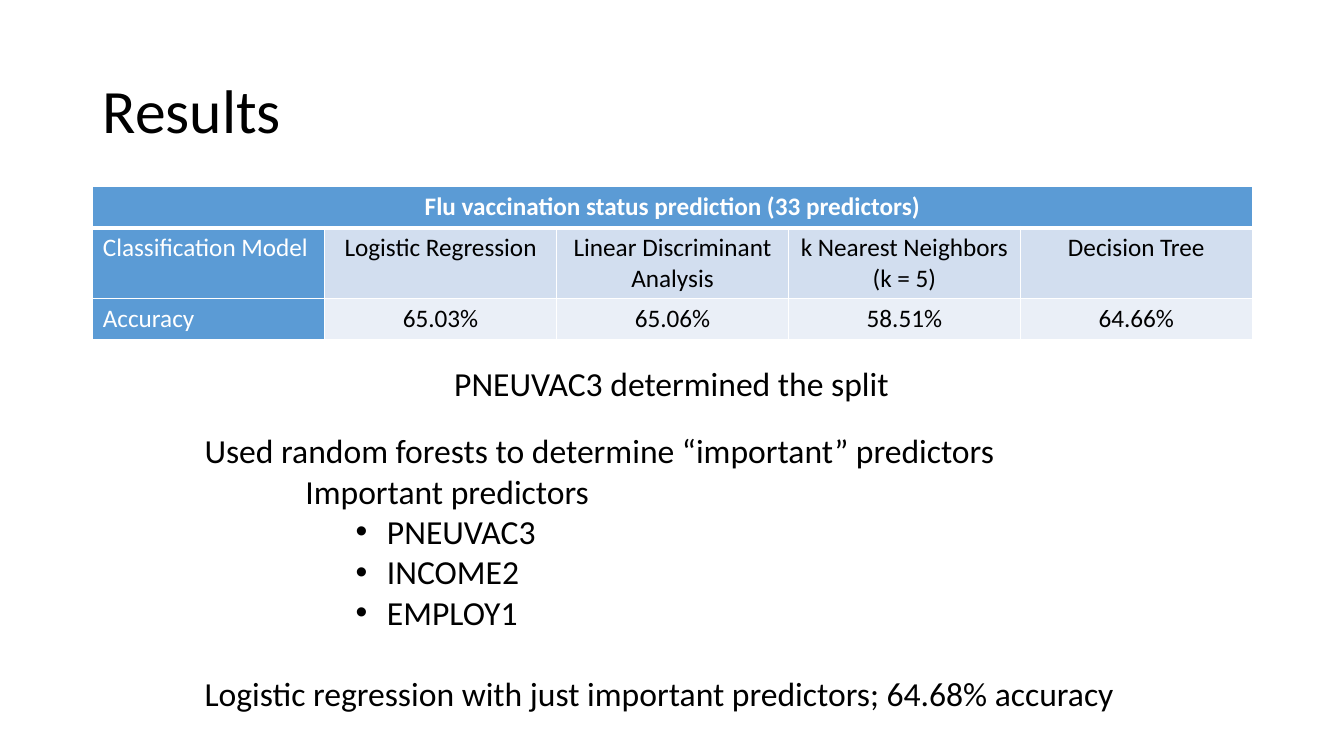
from lxml.etree import SubElement
from pptx import Presentation
from pptx.dml.color import RGBColor
from pptx.enum.text import MSO_ANCHOR, PP_ALIGN
from pptx.oxml.ns import qn
from pptx.util import Inches, Pt

COLORS = {
    "text": "000000",
    "white": "FFFFFF",
    "header": "5B9BD5",
    "odd_band": "D2DEEF",
    "even_band": "EAEFF7",
}
FONT = "Calibri"
TABLE_TITLE = "Flu vaccination status prediction (33 predictors)"
MODEL_ROWS = [
    ["Classification Model", "Logistic Regression", "Linear Discriminant Analysis",
     "k Nearest Neighbors (k = 5)", "Decision Tree"],
    ["Accuracy", "65.03%", "65.06%", "58.51%", "64.66%"],
]
ROW_HEIGHTS = [0.41, 0.69, 0.41]
PREDICTORS = ["PNEUVAC3", "INCOME2", "EMPLOY1"]


def write(para, text, size=24, color="text", bold=False, align=PP_ALIGN.LEFT,
          indent=0, bullet=None, before=0, spacing=1.0):
    """Fill a paragraph with one formatted run."""
    para.alignment = align
    para.space_before = Pt(before)
    para.line_spacing = spacing
    span = para.add_run()
    span.text = text
    span.font.name = FONT
    span.font.size = Pt(size)
    span.font.bold = bold
    span.font.color.rgb = RGBColor.from_string(COLORS[color])
    properties = para._p.get_or_add_pPr()
    properties.set("marL", str(Inches(indent)))
    if bullet:
        properties.set("indent", str(Inches(-0.31)))
        SubElement(properties, qn("a:buFont"), typeface="Arial")
        SubElement(properties, qn("a:buChar"), char=bullet)


def add_text_frame(page, box, anchor=MSO_ANCHOR.TOP):
    """Add a wrapping text box and return its text frame."""
    frame = page.shapes.add_textbox(*map(Inches, box)).text_frame
    frame.word_wrap = True
    frame.vertical_anchor = anchor
    return frame


def style_cell(cell, fill, top=1, bottom=1):
    """Give a cell white borders and a solid fill."""
    properties = cell._tc.get_or_add_tcPr()
    for side, width in (("L", 1), ("R", 1), ("T", top), ("B", bottom)):
        line = SubElement(properties, qn(f"a:ln{side}"), w=str(Pt(width)))
        solid = SubElement(line, qn("a:solidFill"))
        SubElement(solid, qn("a:srgbClr"), val=COLORS["white"])
    cell.fill.solid()
    cell.fill.fore_color.rgb = RGBColor.from_string(COLORS[fill])


def add_title(page, box):
    """Place the slide title."""
    frame = add_text_frame(page, box, MSO_ANCHOR.MIDDLE)
    write(frame.paragraphs[0], "Results", size=44, spacing=0.9)


def add_accuracy_table(page, box):
    """Place the table that compares model accuracy."""
    count = len(MODEL_ROWS[0])
    table = page.shapes.add_table(len(ROW_HEIGHTS), count, *map(Inches, box)).table
    for column in table.columns:
        column.width = Inches(box[2] / count)
    for row, height in zip(table.rows, ROW_HEIGHTS):
        row.height = Inches(height)
    for index in range(count):
        style_cell(table.cell(0, index), "header", bottom=3)
    title = table.cell(0, 0)
    title.merge(table.cell(0, count - 1))
    write(title.text_frame.paragraphs[0], TABLE_TITLE, size=18, color="white",
          bold=True, align=PP_ALIGN.CENTER)
    for row, (texts, band) in enumerate(zip(MODEL_ROWS, ("odd_band", "even_band")), 1):
        for index, text in enumerate(texts):
            label = index == 0
            cell = table.cell(row, index)
            style_cell(cell, "header" if label else band, top=3 if row == 1 else 1)
            write(cell.text_frame.paragraphs[0], text, size=18,
                  color="white" if label else "text",
                  align=PP_ALIGN.LEFT if label else PP_ALIGN.CENTER)


def add_split_note(page, box):
    """Place the centred note under the table."""
    frame = add_text_frame(page, box)
    write(frame.paragraphs[0], "PNEUVAC3 determined the split", align=PP_ALIGN.CENTER)


def add_findings(page, box):
    """Place the random forest findings with the predictor list."""
    frame = add_text_frame(page, box)
    write(frame.paragraphs[0], "Used random forests to determine “important” predictors")
    write(frame.add_paragraph(), "Important predictors", indent=1)
    for predictor in PREDICTORS:
        write(frame.add_paragraph(), predictor, indent=1.81, bullet="•")
    write(frame.add_paragraph(),
          "Logistic regression with just important predictors; 64.68% accuracy",
          before=29)


def main():
    """Build the results slide and save it."""
    deck = Presentation()
    deck.slide_width, deck.slide_height = Inches(13.33), Inches(7.5)
    page = deck.slides.add_slide(deck.slide_layouts[6])
    add_title(page, (0.92, 0.4, 11.5, 1.45))
    add_accuracy_table(page, (0.92, 1.85, 11.5, sum(ROW_HEIGHTS)))
    add_split_note(page, (4.17, 3.55, 4.98, 0.5))
    add_findings(page, (1.93, 4.22, 9.48, 2.93))
    deck.save("out.pptx")


if __name__ == "__main__":
    main()
